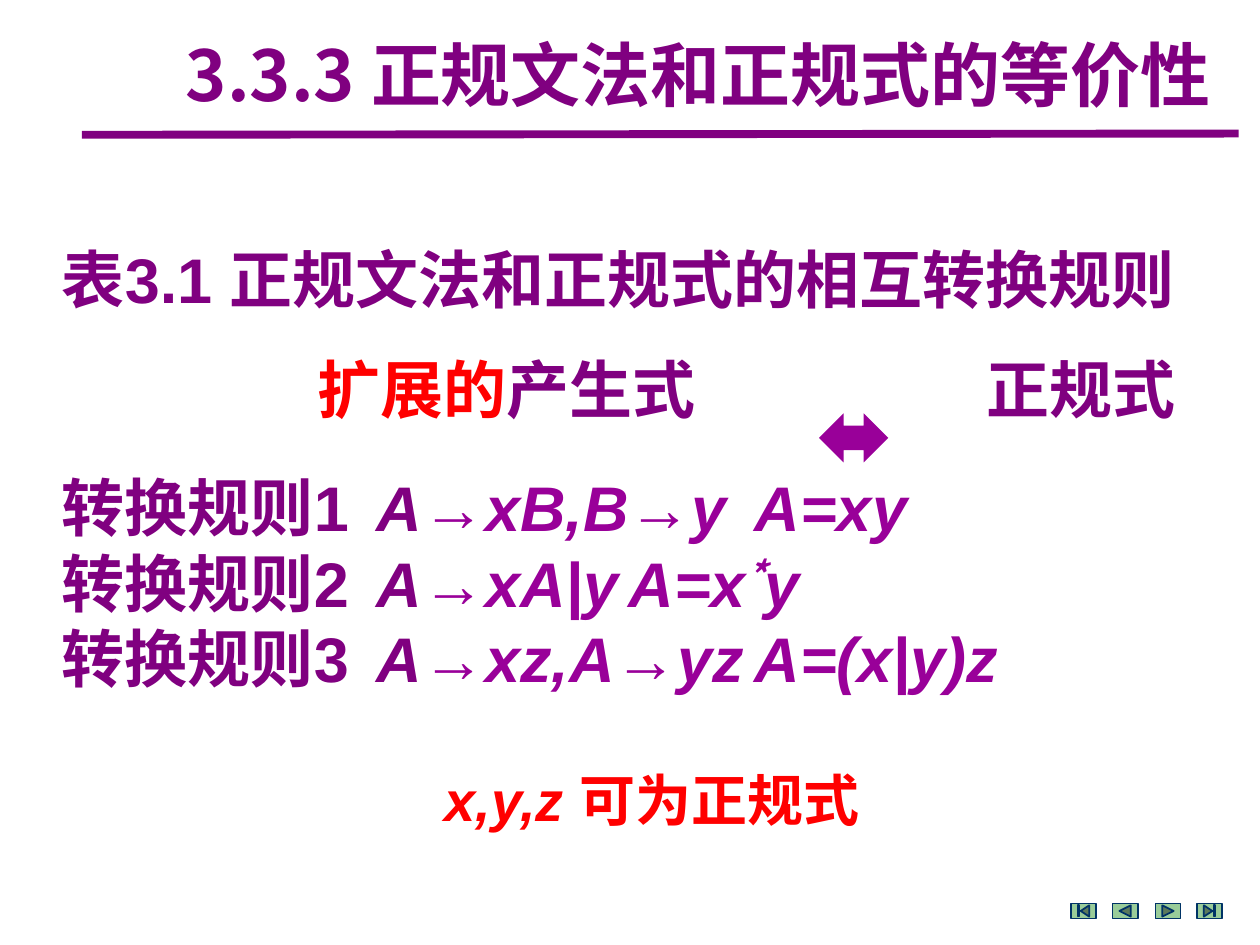
import pptx
import pptx.dml.color
import pptx.enum.shapes
import pptx.enum.text
import pptx.oxml.ns
import pptx.util
from lxml import etree

Inches = pptx.util.Inches
Pt = pptx.util.Pt
SHAPE = pptx.enum.shapes.MSO_SHAPE
ALIGN = pptx.enum.text.PP_ALIGN
ANCHOR = pptx.enum.text.MSO_ANCHOR
qn = pptx.oxml.ns.qn

COLORS = {
    "purple": "800080",
    "violet": "990099",
    "red": "FF0000",
    "green": "99CC99",
    "navy": "003366",
    "white": "FFFFFF",
}
LATIN = "Arial"
HAN = "Noto Sans CJK SC"
STAR = "Noto Sans CJK JP"
RULES = [
    ("1", "→xB,B→y", ["A=xy"]),
    ("2", "→xA|y", ["A=x", "*", "y"]),
    ("3", "→xz,A→yz", ["A=(x|y)z"]),
]
TABS = [(2.81, "l"), (8.24, "ctr")]
BUTTONS = [
    SHAPE.ACTION_BUTTON_BEGINNING,
    SHAPE.ACTION_BUTTON_BACK_OR_PREVIOUS,
    SHAPE.ACTION_BUTTON_FORWARD_OR_NEXT,
    SHAPE.ACTION_BUTTON_END,
]


def color(name):
    return pptx.dml.color.RGBColor.from_string(COLORS[name])


def style(run, size, tint="purple", slant=False, face=LATIN):
    font = run.font
    font.name = face
    font.size = Pt(size)
    font.bold = True
    font.italic = slant
    font.color.rgb = color(tint)
    etree.SubElement(font._element, qn("a:ea")).set("typeface", HAN)


def add_run(para, text, size, tint="purple", slant=False, face=LATIN):
    run = para.add_run()
    run.text = text
    style(run, size, tint, slant, face)
    return run


def place(shape, left, top, width, height):
    shape.left, shape.top = Inches(left), Inches(top)
    shape.width, shape.height = Inches(width), Inches(height)
    shape.text_frame.auto_size = pptx.enum.text.MSO_AUTO_SIZE.NONE
    shape.text_frame.word_wrap = True


def set_list(para, gap=0):
    para.space_before = Pt(gap)
    props = para._p.get_or_add_pPr()
    props.set("marL", "0")
    props.set("indent", "0")
    etree.SubElement(props, qn("a:buNone"))
    stops = etree.SubElement(props, qn("a:tabLst"))
    for pos, side in TABS:
        stop = etree.SubElement(stops, qn("a:tab"))
        stop.set("pos", str(Inches(pos)))
        stop.set("algn", side)


def add_title(slide):
    title = slide.shapes.title
    place(title, 1.25, 0.27, 8.58, 0.71)
    title.text_frame.vertical_anchor = ANCHOR.MIDDLE
    title.text_frame.text = "3.3.3 正规文法和正规式的等价性"
    para = title.text_frame.paragraphs[0]
    para.alignment = ALIGN.CENTER
    para.line_spacing = 0.9
    style(para.runs[0], 40, face=HAN)


def add_rules(slide):
    body = slide.placeholders[1]
    place(body, 0.39, 1.86, 9.61, 3.74)
    frame = body.text_frame
    frame.vertical_anchor = ANCHOR.TOP
    frame.text = "表3.1 正规文法和正规式的相互转换规则"
    head = frame.paragraphs[0]
    set_list(head)
    style(head.runs[0], 36)
    for num, tail, parts in RULES:
        para = frame.add_paragraph()
        set_list(para, 87 if num == "1" else 0)
        add_run(para, f"转换规则{num}\t", 36)
        add_run(para, "A", 36, slant=True)
        add_run(para, tail + "\t", 36, "violet", True)
        for part in parts:
            face = STAR if part == "*" else LATIN
            run = add_run(para, part, 36, "violet", True, face)
            if part == "*":
                run.font._element.set("baseline", "30000")


def add_label(slide, spot, size, parts):
    box = slide.shapes.add_textbox(0, 0, 0, 0)
    place(box, *spot)
    para = box.text_frame.paragraphs[0]
    for text, tint, slant in parts:
        add_run(para, text, size, tint, slant)


def add_shape(slide, kind, spot, fill, edge=None):
    shape = slide.shapes.add_shape(kind, *map(Inches, spot))
    shape.shadow.inherit = False
    shape.fill.solid()
    shape.fill.fore_color.rgb = color(fill)
    if edge:
        shape.line.color.rgb = color(edge)
        shape.line.width = Pt(1)
    else:
        shape.line.fill.background()


def add_line(slide, start, end):
    line = slide.shapes.add_connector(
        pptx.enum.shapes.MSO_CONNECTOR.STRAIGHT, *map(Inches, start + end)
    )
    line.line.color.rgb = color("purple")
    line.line.width = Pt(4.5)
    etree.SubElement(line._element.spPr, qn("a:effectLst"))


def main():
    deck = pptx.Presentation()
    deck.slide_width, deck.slide_height = Inches(10), Inches(7.5)
    slide = deck.slides.add_slide(deck.slide_layouts[1])
    slide.background.fill.solid()
    slide.background.fill.fore_color.rgb = color("white")
    add_line(slide, (0.65, 1.07), (9.83, 1.06))
    for i, kind in enumerate(BUTTONS):
        spot = (round(8.5 + i / 3, 2), 7.17, 0.2, 0.12)
        add_shape(slide, kind, spot, "green", "navy")
    add_title(slide)
    add_rules(slide)
    add_shape(slide, SHAPE.LEFT_RIGHT_ARROW, (6.5, 3.28, 0.55, 0.39), "violet")
    add_label(slide, (7.73, 2.73, 1.72, 0.71), 36, [("正规式", "purple", False)])
    add_label(slide, (2.42, 2.73, 3.59, 0.71), 36,
              [("扩展的", "red", False), ("产生式", "purple", False)])
    add_label(slide, (3.43, 6.03, 3.7, 0.64), 32,
              [("x,y,z ", "red", True), ("可为正规式", "red", False)])
    deck.save("out.pptx")


if __name__ == "__main__":
    main()
